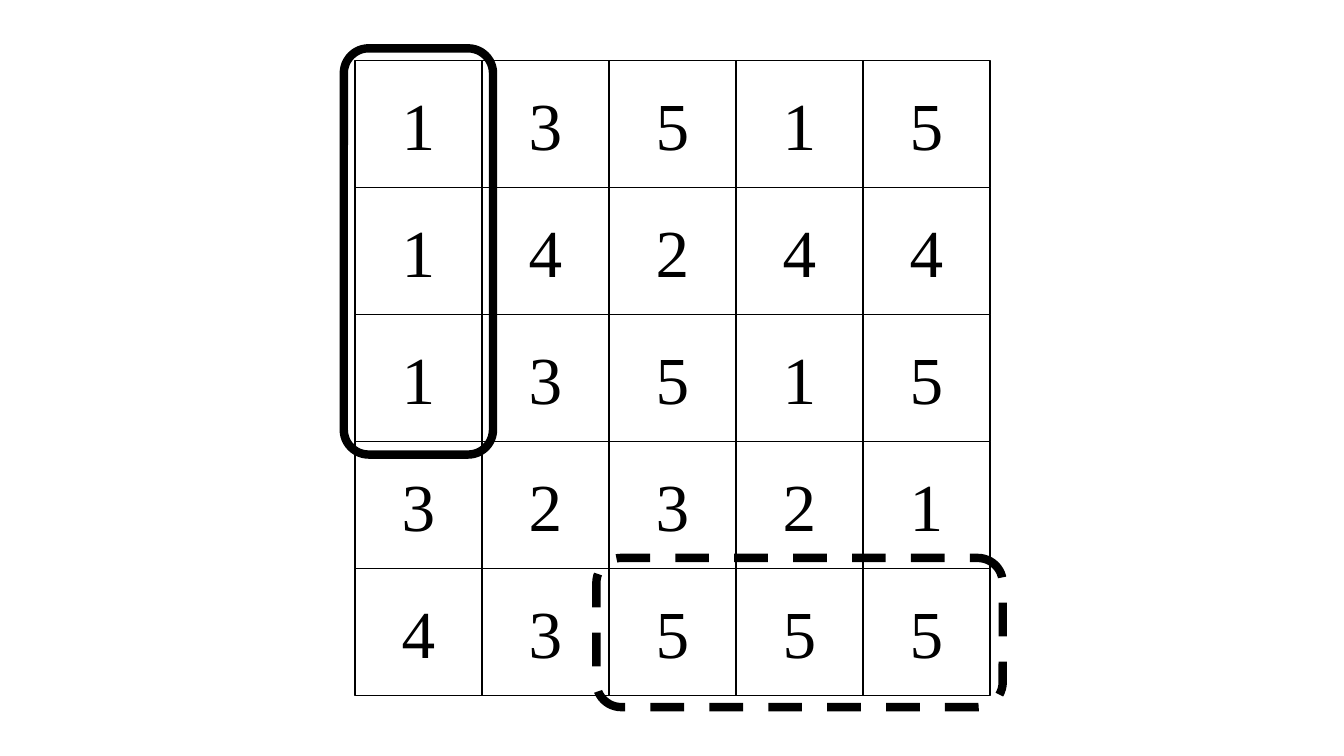
from pptx import Presentation
from pptx.dml.color import RGBColor
from pptx.enum import dml, shapes, text
from pptx.util import Inches, Pt

COLORS = {"ink": "000000", "paper": "FFFFFF"}
INK = RGBColor.from_string(COLORS["ink"])
PAPER = RGBColor.from_string(COLORS["paper"])

GRID = ["13515", "14244", "13515", "32321", "43555"]
LEFT, TOP, CELL = 3.52, 0.6, 1.26

prs = Presentation()
prs.slide_width, prs.slide_height = Inches(13.33), Inches(7.5)
s = prs.slides.add_slide(prs.slide_layouts[6])

# Number grid
grid = s.shapes.add_group_shape()
for row, digits in enumerate(GRID):
    for col, digit in enumerate(digits):
        sp = grid.shapes.add_shape(
            shapes.MSO_SHAPE.RECTANGLE,
            Inches(LEFT + col * CELL), Inches(TOP + row * CELL),
            Inches(CELL), Inches(CELL))
        sp.shadow.inherit = False
        sp.fill.solid()
        sp.fill.fore_color.rgb = PAPER
        sp.line.color.rgb = INK
        sp.line.width = Pt(1)
        tf = sp.text_frame
        tf.vertical_anchor = text.MSO_ANCHOR.MIDDLE
        p = tf.paragraphs[0]
        p.text = digit
        p.alignment = text.PP_ALIGN.CENTER
        p.font.name = "Times New Roman"
        p.font.size = Pt(48)
        p.font.color.rgb = INK

# Frames around the vertical and the horizontal run of three
for x, y, angle, dash in [(3.41, 0.48, 0, dml.MSO_LINE.SOLID),
                          (7.19, 4.26, 90, dml.MSO_LINE.DASH)]:
    sp = s.shapes.add_shape(shapes.MSO_SHAPE.ROUNDED_RECTANGLE,
                            Inches(x), Inches(y), Inches(1.48), Inches(4.03))
    sp.rotation = angle
    sp.shadow.inherit = False
    sp.fill.background()
    sp.line.color.rgb = INK
    sp.line.width = Pt(6)
    sp.line.dash_style = dash

prs.save("out.pptx")
